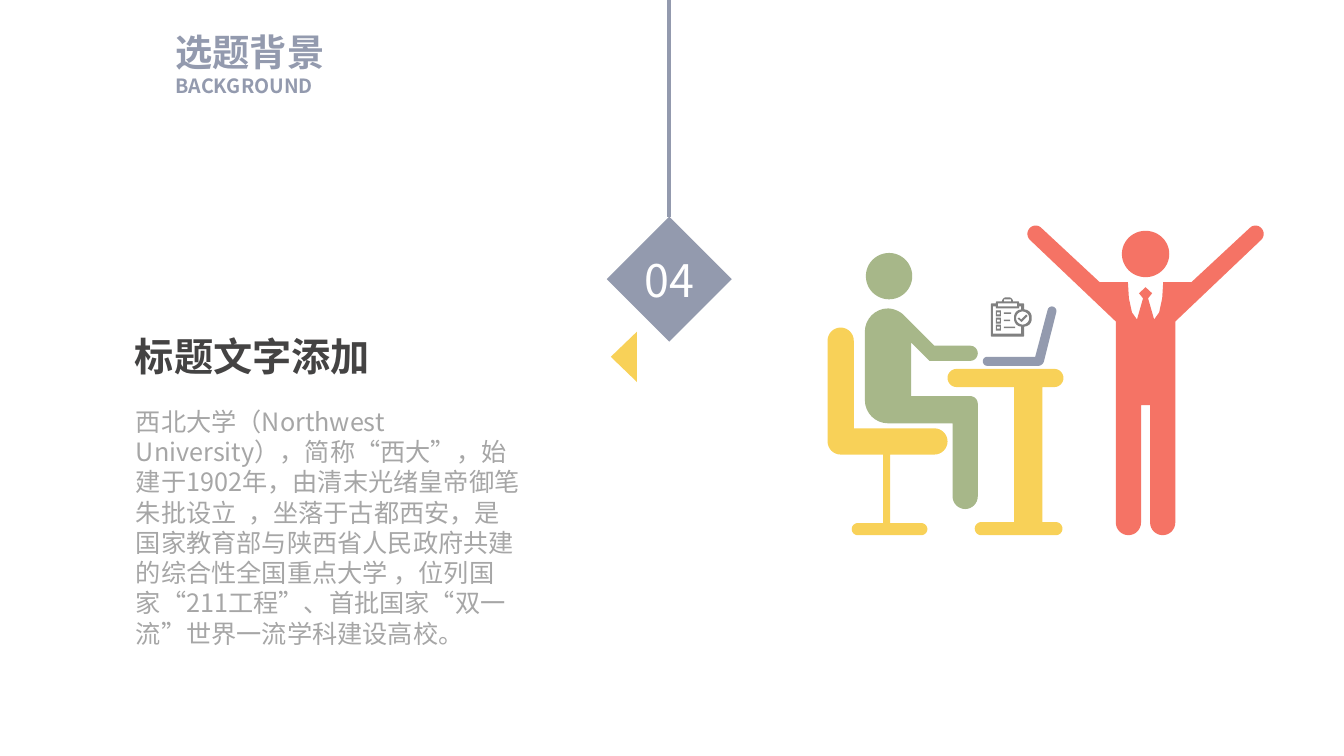
from lxml.etree import SubElement
from pptx import Presentation
from pptx.dml.color import RGBColor
from pptx.enum.shapes import MSO_CONNECTOR as Connector, MSO_SHAPE as Preset
from pptx.enum.text import MSO_ANCHOR as Anchor, MSO_AUTO_SIZE as AutoSize, PP_ALIGN as Align
from pptx.oxml.ns import qn
from pptx.util import Inches, Pt

COLUMNS, ROWS = 133.33, 75
CELL = 0.1
COLORS = {
    "slate": "939AAE", "yellow": "F8D158", "green": "A7B789", "coral": "F57365",
    "gray": "808080", "title": "444343", "body": "A6A6A6", "white": "FFFFFF",
}
SANS, CONDENSED = "Noto Sans CJK SC", "Roboto Condensed"
CURVE_STEPS = 8
KAPPA = 0.55


def cells(count):
    return Inches(count * CELL)


def round_corners(corners):
    """Turn (x, y[, cut]) corners into points, curving each corner that has a cut."""
    points = []
    for index, (x, y, *cut) in enumerate(corners):
        if not cut:
            points.append((x, y))
            continue
        ends = []
        for near in (corners[index - 1], corners[(index + 1) % len(corners)]):
            dx, dy = near[0] - x, near[1] - y
            share = cut[0] / (dx * dx + dy * dy) ** 0.5
            ends.append((dx * share, dy * share))
        for step in range(CURVE_STEPS + 1):
            t = step / CURVE_STEPS
            pull = 1 - KAPPA
            start = (1 - t) ** 3 + 3 * pull * t * (1 - t) ** 2
            end = t ** 3 + 3 * pull * t ** 2 * (1 - t)
            points.append((x + start * ends[0][0] + end * ends[1][0],
                           y + start * ends[0][1] + end * ends[1][1]))
    return points


def rectangle(left, top, width, height, cut=None):
    extra = [cut] if cut else []
    right, bottom = left + width, top + height
    return [(x, y, *extra) for x, y in
            ((left, top), (right, top), (right, bottom), (left, bottom))]


class SlideBuilder:
    """Draws on one page, with all lengths in grid cells."""

    def __init__(self, page):
        self.page = page

    def paint(self, shape, color):
        shape.shadow.inherit = False
        shape.fill.solid()
        shape.fill.fore_color.rgb = RGBColor.from_string(COLORS[color])
        shape.line.fill.background()
        return shape

    def preset(self, kind, left, top, width, height, color):
        frame = [cells(n) for n in (left, top, width, height)]
        return self.paint(self.page.shapes.add_shape(kind, *frame), color)

    def outline(self, color, *contours):
        """Draw closed contours as one shape; inner contours make holes."""
        builder = None
        for contour in contours:
            first, *rest = [(cells(x), cells(y)) for x, y in round_corners(contour)]
            if builder is None:
                builder = self.page.shapes.build_freeform(*first)
            else:
                builder.move_to(*first)
            builder.add_line_segments(rest, close=True)
        return self.paint(builder.convert_to_shape(), color)

    def hang(self, shape, color, width):
        """Join the top of a shape to the upper edge of the page."""
        middle = shape.left + shape.width // 2
        line = self.page.shapes.add_connector(Connector.STRAIGHT, middle, shape.top, middle, 0)
        line.begin_connect(shape, 0)
        line.line.color.rgb = RGBColor.from_string(COLORS[color])
        line.line.width = Pt(width)
        SubElement(line._element.spPr, qn("a:effectLst"))

    def add_span(self, para, text, size, color, font=SANS, bold=False, align=Align.LEFT):
        para.alignment = align
        span = para.add_run()
        span.text = text
        span.font.size = Pt(size)
        span.font.bold = bold
        span.font.color.rgb = RGBColor.from_string(COLORS[color])
        span.font.name = font
        SubElement(span._r.get_or_add_rPr(), qn("a:ea"), typeface=font)

    def clear_insets(self, frame):
        frame.margin_left = frame.margin_right = frame.margin_top = frame.margin_bottom = 0

    def text_box(self, left, top, width, height, wrap=True):
        box = self.page.shapes.add_textbox(*[cells(n) for n in (left, top, width, height)])
        frame = box.text_frame
        frame.word_wrap = wrap
        frame.auto_size = AutoSize.SHAPE_TO_FIT_TEXT
        return frame


def draw_desk_worker(art):
    art.outline("yellow", [
        (82.1, 32.5, 1.3), (84.7, 32.5, 1.3), (84.7, 42.5), (94, 42.5, 1.3),
        (94, 45.1, 1.3), (88.3, 45.1), (88.3, 51.9), (92, 51.9, 0.6),
        (92, 53.1, 0.6), (84.5, 53.1, 0.6), (84.5, 51.9, 0.6), (87.6, 51.9),
        (87.6, 45.1), (82.1, 45.1, 1.3)])
    art.preset(Preset.OVAL, 85.9, 25.1, 4.6, 4.6, "green")
    art.outline("green", [
        (85.8, 30.6, 2.3), (89, 30.6, 0.9), (92.7, 34.3), (97, 34.3, 0.75),
        (97, 35.8, 0.75), (92.2, 35.8), (90.4, 34), (90.4, 39.3), (97, 39.3, 0.75),
        (97, 50.5, 1.25), (94.5, 50.5, 1.25), (94.5, 42), (85.8, 42, 2.3)])
    art.outline("yellow", [
        (94, 36.6, 0.9), (105.5, 36.6, 0.9), (105.5, 38.4, 0.9), (103.4, 38.4),
        (103.4, 51.8), (105.4, 51.8, 0.65), (105.4, 53.1, 0.65), (96.7, 53.1, 0.65),
        (96.7, 51.8, 0.65), (100.6, 51.8), (100.6, 38.4), (94, 38.4, 0.9)])
    art.outline("slate", [
        (97.5, 35.4, 0.45), (102.7, 35.4), (104.05, 30.3, 0.45), (104.9, 30.55, 0.45),
        (103.45, 36.3, 0.45), (97.5, 36.3, 0.45)])


def draw_cheering_man(art):
    middle = 113.65
    art.preset(Preset.OVAL, 111.3, 22.9, 4.7, 4.6, "coral")
    left_half = [
        (113, 29.1), (113.4, 29.6), (112.8, 31.7), (112.3, 31), (112, 29.6),
        (111.9, 28), (109.1, 28), (102.7, 22.05, 0.8), (101.6, 23.25, 0.8),
        (110.7, 31.9), (110.7, 53.1, 1.25), (113.2, 53.1, 1.25), (113.2, 40.2)]
    right_half = [(2 * middle - x, y, *cut) for x, y, *cut in reversed(left_half)]
    art.outline("coral", [(middle, 28.5), *left_half, *right_half])


def draw_clipboard(art):
    silhouette = [
        (98.3, 30.1, 0.1), (98.8, 30.1), (98.8, 29.9, 0.1), (99.4, 29.9),
        (99.5, 29.5, 0.3), (100.4, 29.5, 0.3), (100.5, 29.9), (101.1, 29.9, 0.1),
        (101.1, 30.1), (101.6, 30.1, 0.1), (101.6, 30.7), (102.35, 30.7, 0.75),
        (102.35, 32.4, 0.75), (101.6, 32.4), (101.6, 33.4, 0.1), (98.3, 33.4, 0.1)]
    paper = [
        (101.3, 30.7), (101.3, 30.4), (101.1, 30.4), (101.1, 30.6), (98.8, 30.6),
        (98.8, 30.4), (98.5, 30.4), (98.5, 33.1), (101.3, 33.1), (101.3, 32.4),
        (100.6, 32.4, 0.75), (100.6, 30.7, 0.75)]
    tick = [(100.95, 31.6), (101.1, 31.5), (101.3, 31.7), (101.8, 31.2),
            (101.95, 31.35), (101.35, 31.95)]
    contours = [silhouette, paper, tick,
                rectangle(100.8, 30.9, 1.3, 1.3, 0.65),
                rectangle(99, 30.1, 1.9, 0.3),
                rectangle(99.6, 29.7, 0.7, 0.2)]
    for row, width in enumerate((0.7, 0.6, 1.1)):
        top = 30.8 + 0.7 * row
        contours += [rectangle(98.8, top, 0.5, 0.6),
                     rectangle(98.9, top + 0.2, 0.3, 0.2),
                     rectangle(99.6, top + 0.2, width, 0.15)]
    art.outline("gray", *contours)


def main():
    deck = Presentation()
    deck.slide_width, deck.slide_height = cells(COLUMNS), cells(ROWS)
    art = SlideBuilder(deck.slides.add_slide(deck.slide_layouts[6]))

    draw_desk_worker(art)
    draw_cheering_man(art)
    draw_clipboard(art)

    header = art.text_box(17.4, 2.9, 14.9, 6.8, wrap=False)
    art.clear_insets(header)
    art.add_span(header.paragraphs[0], "选题背景", 26.6, "slate", font=CONDENSED, bold=True)
    art.add_span(header.add_paragraph(), "BACKGROUND", 14, "slate", bold=True)

    diamond = art.preset(Preset.DIAMOND, 60.2, 21.5, 12.4, 12.4, "slate")
    art.hang(diamond, "slate", 3)
    number = diamond.text_frame
    art.clear_insets(number)
    number.vertical_anchor = Anchor.MIDDLE
    art.add_span(number.paragraphs[0], "04", 32, "white", align=Align.CENTER)
    art.outline("yellow", [(63.2, 32.9), (60.6, 35.4), (63.2, 37.9)])

    title = art.text_box(12.4, 32.5, 39, 5.7)
    art.add_span(title.paragraphs[0], "标题文字添加", 28, "title", bold=True)
    body = art.text_box(12.5, 39.8, 40.5, 25.2)
    art.add_span(body.paragraphs[0], (
        "西北大学（Northwest University），简称“西大”，始建于1902年，由清末光绪皇帝御笔朱批设立  ，"
        "坐落于古都西安，是国家教育部与陕西省人民政府共建的综合性全国重点大学 ，"
        "位列国家“211工程”、首批国家“双一流”世界一流学科建设高校。"), 18, "body")

    deck.save("out.pptx")


if __name__ == "__main__":
    main()
